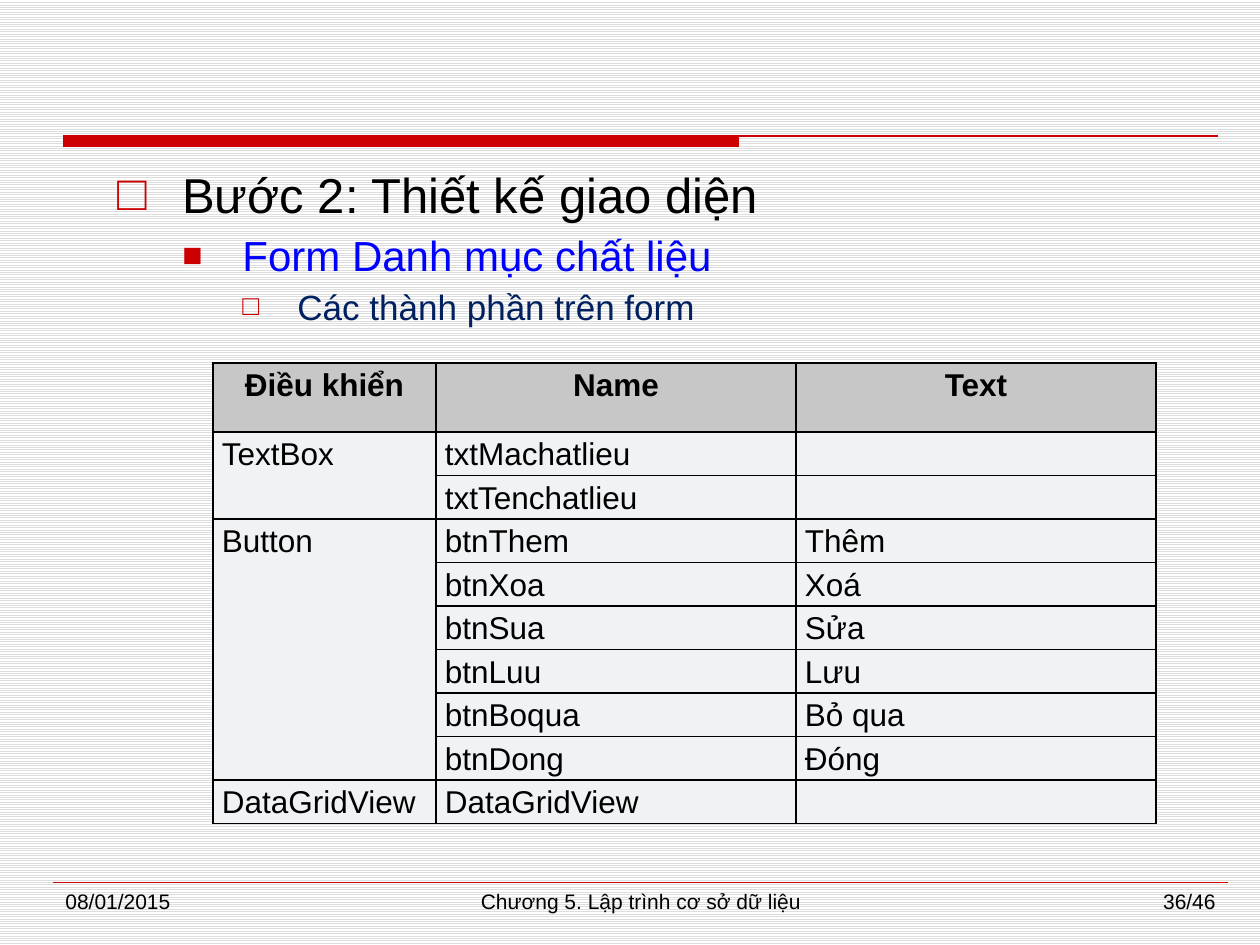
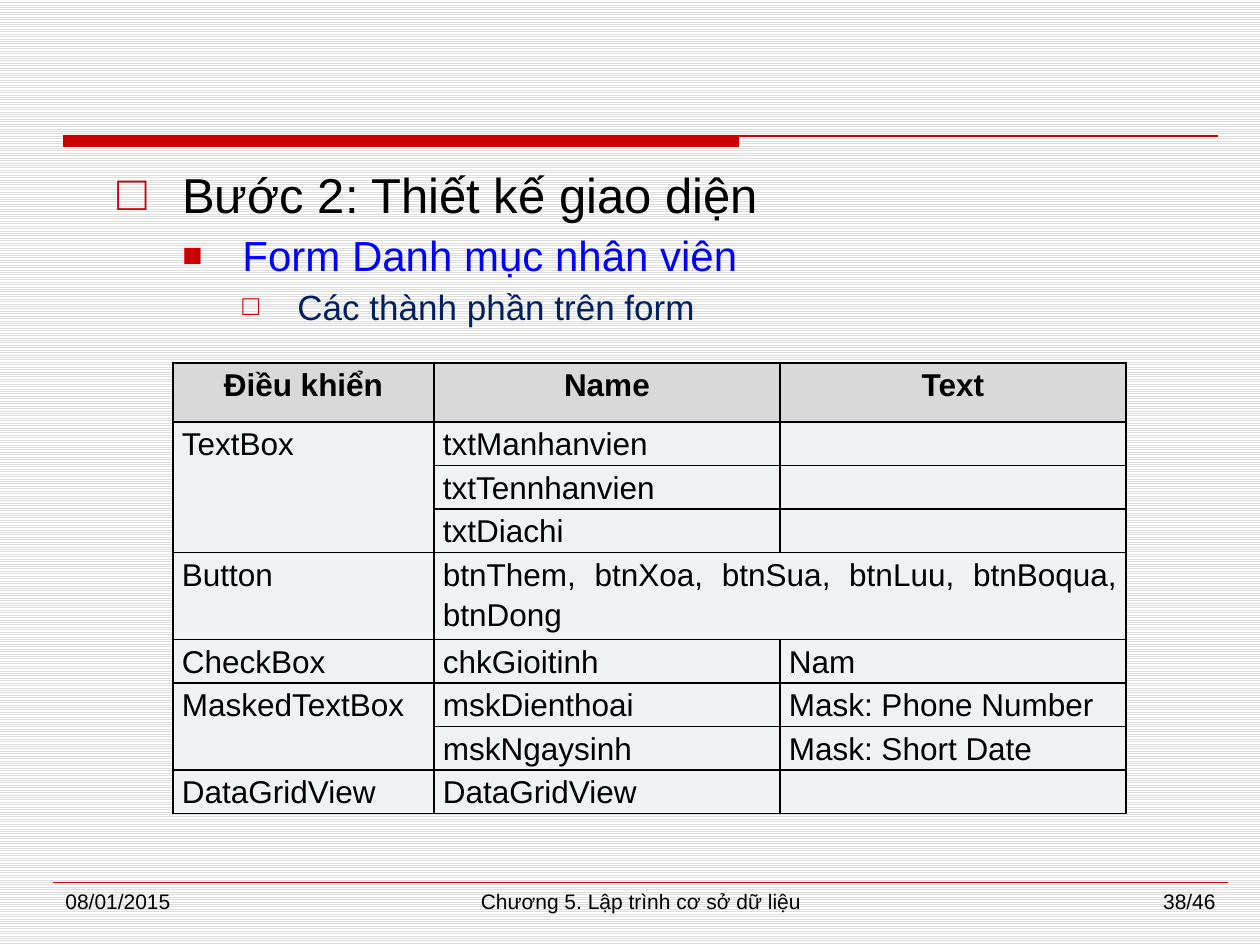
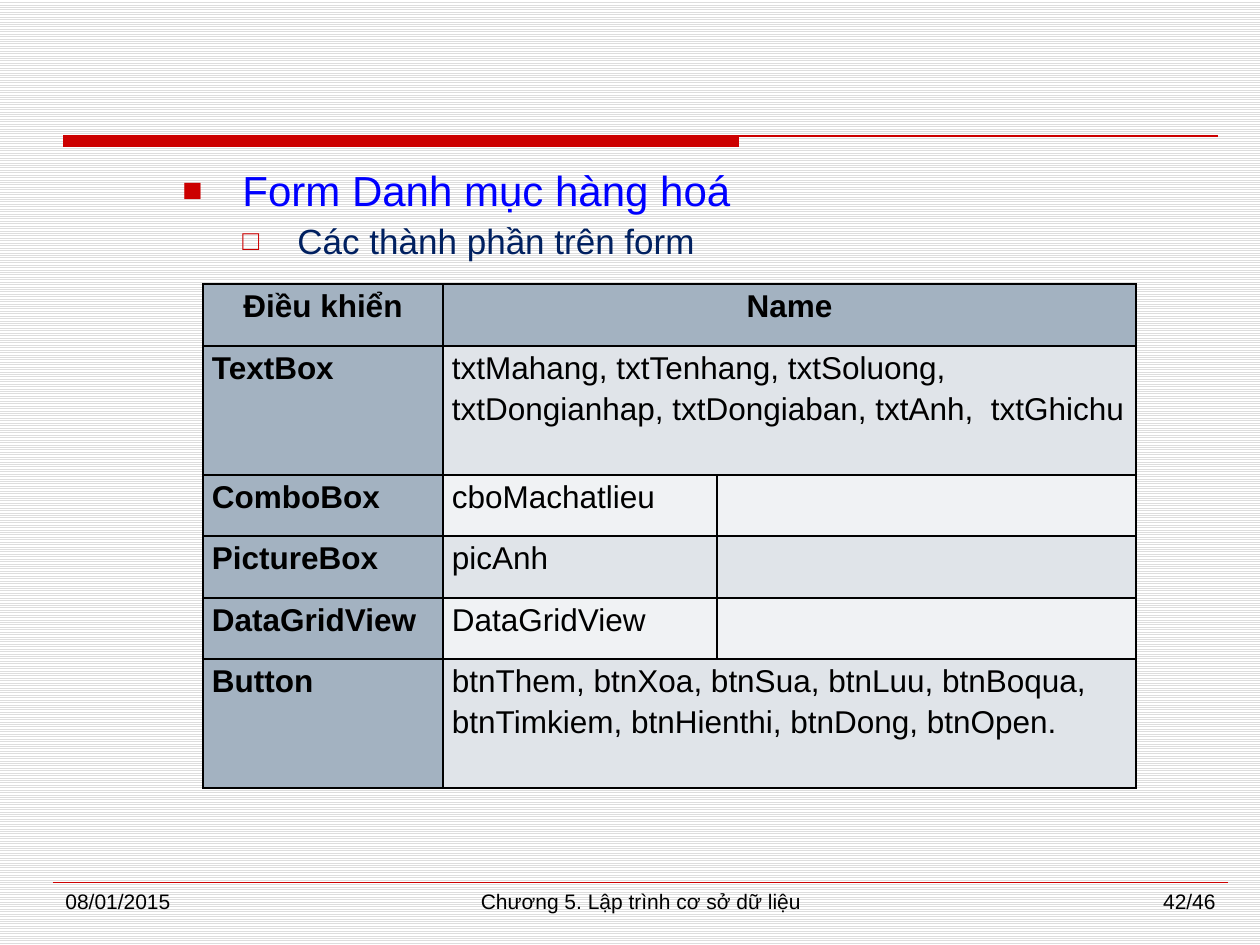
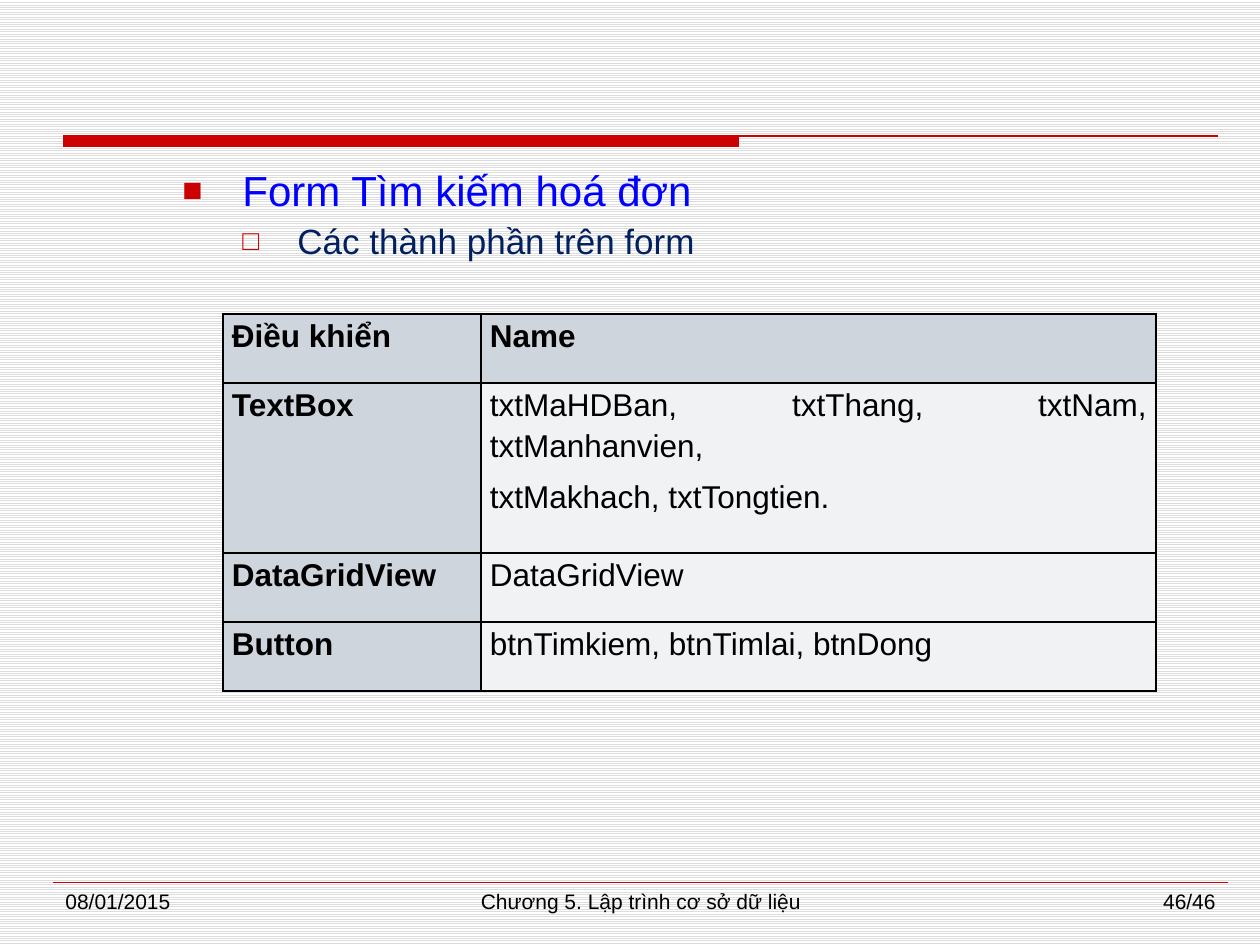
from itertools import takewhile

from lxml import etree
from pptx import Presentation
from pptx.dml.color import RGBColor
from pptx.enum.dml import MSO_PATTERN
from pptx.enum.shapes import MSO_CONNECTOR, MSO_SHAPE
from pptx.enum.text import PP_ALIGN
from pptx.oxml.ns import qn
from pptx.util import Pt

PX = 914400 / 126
WIDTH, HEIGHT = 1260, 945
FONT = "Arial"

LEFT, CENTER = PP_ALIGN.LEFT, PP_ALIGN.CENTER
RIGHT, JUSTIFY = PP_ALIGN.RIGHT, PP_ALIGN.JUSTIFY
STRAIGHT = MSO_CONNECTOR.STRAIGHT
RECTANGLE = MSO_SHAPE.RECTANGLE
LIGHT_HORIZONTAL = MSO_PATTERN.LIGHT_HORIZONTAL

BLACK = RGBColor(0x00, 0x00, 0x00)
WHITE = RGBColor(0xFF, 0xFF, 0xFF)
STRIPE = RGBColor(0xDD, 0xDD, 0xDD)
RED = RGBColor(0xCC, 0x00, 0x00)
BLUE = RGBColor(0x00, 0x00, 0xFF)
NAVY = RGBColor(0x00, 0x20, 0x60)
SILVER = RGBColor(0xC7, 0xC7, 0xC7)
LIGHT_GRAY = RGBColor(0xD9, 0xD9, 0xD9)
STEEL = RGBColor(0xA3, 0xB2, 0xC1)
MIST = RGBColor(0xCE, 0xD5, 0xDD)
PALE = RGBColor(0xF0, 0xF2, 0xF4)
PALE_BLUE = RGBColor(0xE0, 0xE4, 0xE9)

DATE = "08/01/2015"
CHAPTER = "Chương 5. Lập trình cơ sở dữ liệu"
TOTAL = 46
STEP = "Bước 2: Thiết kế giao diện"
PARTS = "Các thành phần trên form"

LEVELS = [
    dict(size=28, color=BLACK, margin=65, hang=65, before=20, bullet="□", scale=100),
    dict(size=24, color=BLUE, margin=125, hang=60, before=15, bullet="■", scale=80),
    dict(size=20, color=NAVY, margin=180, hang=55, before=15, bullet="□", scale=80),
]

UP, BACK = "^", "<"

SLIDES = [
    dict(
        number=36,
        outline=[(0, STEP), (1, "Form Danh mục chất liệu"), (2, PARTS)],
        origin=(213, 363), cols=[223, 360, 360], heights=[69] + [38] * 9,
        head=SILVER, labels=None, body=[PALE], head_align=CENTER, after=6, gap=6,
        rows=[
            ("Điều khiển", "Name", "Text"),
            ("TextBox", "txtMachatlieu", ""),
            (UP, "txtTenchatlieu", ""),
            ("Button", "btnThem", "Thêm"),
            (UP, "btnXoa", "Xoá"),
            (UP, "btnSua", "Sửa"),
            (UP, "btnLuu", "Lưu"),
            (UP, "btnBoqua", "Bỏ qua"),
            (UP, "btnDong", "Đóng"),
            ("DataGridView", "DataGridView", ""),
        ],
    ),
    dict(
        number=38,
        outline=[(0, STEP), (1, "Form Danh mục nhân viên"), (2, PARTS)],
        origin=(173, 363), cols=[261, 346, 346],
        heights=[59, 38, 38, 38, 79, 38, 38, 38, 38],
        head=LIGHT_GRAY, labels=None, body=[PALE], head_align=CENTER, after=3, gap=3,
        rows=[
            ("Điều khiển", "Name", "Text"),
            ("TextBox", "txtManhanvien", ""),
            (UP, "txtTennhanvien", ""),
            (UP, "txtDiachi", ""),
            ("Button", "btnThem, btnXoa, btnSua, btnLuu, btnBoqua, btnDong", BACK),
            ("CheckBox", "chkGioitinh", "Nam"),
            ("MaskedTextBox", "mskDienthoai", "Mask: Phone Number"),
            (UP, "mskNgaysinh", "Mask: Short Date"),
            ("DataGridView", "DataGridView", ""),
        ],
    ),
    dict(
        number=42,
        outline=[(1, "Form Danh mục hàng hoá"), (2, PARTS)],
        origin=(203, 284), cols=[240, 274, 419], heights=[62, 129, 61, 62, 61, 129],
        head=STEEL, labels=STEEL, body=[PALE_BLUE, PALE],
        head_align=CENTER, after=6, gap=0, left_cells=[(1, 1)],
        rows=[
            ("Điều khiển", "Name", BACK),
            ("TextBox", "txtMahang, txtTenhang, txtSoluong,  txtDongianhap, "
                        "txtDongiaban, txtAnh,  txtGhichu", BACK),
            ("ComboBox", "cboMachatlieu", ""),
            ("PictureBox", "picAnh", ""),
            ("DataGridView", "DataGridView", ""),
            ("Button", "btnThem, btnXoa, btnSua, btnLuu, btnBoqua,\n"
                       "btnTimkiem, btnHienthi, btnDong, btnOpen.", BACK),
        ],
    ),
    dict(
        number=46,
        outline=[(1, "Form Tìm kiếm hoá đơn"), (2, PARTS)],
        origin=(223, 314), cols=[258, 675], heights=[69, 170, 69, 69],
        head=MIST, labels=MIST, body=[PALE], head_align=JUSTIFY, after=6, gap=6,
        rows=[
            ("Điều khiển", "Name"),
            ("TextBox", "txtMaHDBan, txtThang, txtNam, txtManhanvien,\n"
                        "txtMakhach, txtTongtien."),
            ("DataGridView", "DataGridView"),
            ("Button", "btnTimkiem, btnTimlai, btnDong"),
        ],
    ),
]


def px(*values):
    return [round(v * PX) for v in values]


def sub(parent, tag, **attrs):
    return etree.SubElement(parent, qn(tag), {k: str(v) for k, v in attrs.items()})


def add_run(p, text, size, color, bold=False):
    r = p.add_run()
    r.text = text
    r.font.name, r.font.size, r.font.bold = FONT, Pt(size), bold
    r.font.color.rgb = color


def add_box(s, x, y, w, h):
    tf = s.shapes.add_textbox(*px(x, y, w, h)).text_frame
    tf.word_wrap = True
    return tf


def add_rule(s, x1, x2, y, weight):
    line = s.shapes.add_connector(STRAIGHT, *px(x1, y, x2, y))
    line.line.color.rgb, line.line.width = RED, Pt(weight)
    sub(line._element.spPr, "a:effectLst")


def add_frame(s, number):
    band = s.shapes.add_shape(RECTANGLE, *px(63, 136, 676, 11))
    band.shadow.inherit = False
    band.fill.solid()
    band.fill.fore_color.rgb = RED
    band.line.fill.background()
    add_rule(s, 63, 1218, 136, 1.5)
    add_rule(s, 53, 1228, 882, 0.25)
    footers = [(53, 273, LEFT, DATE), (368, 546, CENTER, CHAPTER),
               (955, 273, RIGHT, f"{number}/{TOTAL}")]
    for x, w, align, text in footers:
        p = add_box(s, x, 882, w, 44).paragraphs[0]
        p.alignment = align
        add_run(p, text, 12, BLACK)


def add_outline(s, outline):
    tf = add_box(s, 105, 158, 1092, 714)
    for i, (depth, text) in enumerate(outline):
        level = LEVELS[depth]
        p = tf.add_paragraph() if i else tf.paragraphs[0]
        p.alignment, p.level = JUSTIFY, depth
        margin, hang = px(level["margin"], level["hang"])
        pPr = p._p.get_or_add_pPr()
        pPr.set("marL", str(margin))
        pPr.set("indent", str(-hang))
        sub(sub(pPr, "a:spcBef"), "a:spcPct", val=level["before"] * 1000)
        sub(sub(pPr, "a:buClr"), "a:srgbClr", val=RED)
        sub(pPr, "a:buSzPct", val=level["scale"] * 1000)
        sub(pPr, "a:buFont", typeface=FONT)
        sub(pPr, "a:buChar", char=level["bullet"])
        add_run(p, text, level["size"], level["color"])


def style_cell(cell, fill):
    cell.margin_left, cell.margin_right = px(9, 9)
    cell.margin_top = cell.margin_bottom = 0
    tcPr = cell._tc.get_or_add_tcPr()
    for side in ("a:lnL", "a:lnR", "a:lnT", "a:lnB"):
        ln = sub(tcPr, side, w=Pt(1))
        sub(sub(ln, "a:solidFill"), "a:srgbClr", val=BLACK)
    cell.fill.solid()
    cell.fill.fore_color.rgb = fill


def fill_cell(cell, text, align, bold, after, gap):
    lines = text.split("\n")
    tf = cell.text_frame
    for i, line in enumerate(lines):
        p = tf.add_paragraph() if i else tf.paragraphs[0]
        p.alignment, p.line_spacing = align, 1.15
        p.space_after = Pt(after if i == len(lines) - 1 else gap)
        add_run(p, line, 18, BLACK, bold)


def run_length(values, mark):
    return len(list(takewhile(lambda v: v == mark, values)))


def add_grid(s, d):
    rows, cols, heights = d["rows"], d["cols"], d["heights"]
    table = s.shapes.add_table(len(rows), len(cols),
                               *px(*d["origin"], sum(cols), sum(heights))).table
    table.first_row = table.horz_banding = False
    for column, width in zip(table.columns, px(*cols)):
        column.width = width
    for row, height in zip(table.rows, px(*heights)):
        row.height = height
    for i, row in enumerate(rows):
        for j, text in enumerate(row):
            label = j == 0 and d["labels"]
            body = d["body"][(i - 1) % len(d["body"])]
            fill = d["head"] if i == 0 else d["labels"] if label else body
            cell = table.cell(i, j)
            style_cell(cell, fill)
            if text in ("", UP, BACK):
                continue
            down = run_length([r[j] for r in rows[i + 1:]], UP)
            across = run_length(row[j + 1:], BACK)
            if down or across:
                cell.merge(table.cell(i + down, j + across))
            align = d["head_align"] if i == 0 else JUSTIFY
            if (i, j) in d.get("left_cells", []):
                align = LEFT
            fill_cell(cell, text, align, i == 0 or bool(label), d["after"], d["gap"])


def main():
    prs = Presentation()
    prs.slide_width, prs.slide_height = px(WIDTH, HEIGHT)
    background = prs.slide_master.background.fill
    background.patterned()
    background.pattern = LIGHT_HORIZONTAL
    background.fore_color.rgb, background.back_color.rgb = STRIPE, WHITE
    for d in SLIDES:
        s = prs.slides.add_slide(prs.slide_layouts[6])
        add_frame(s, d["number"])
        add_outline(s, d["outline"])
        add_grid(s, d)
    prs.save("out.pptx")


if __name__ == "__main__":
    main()
